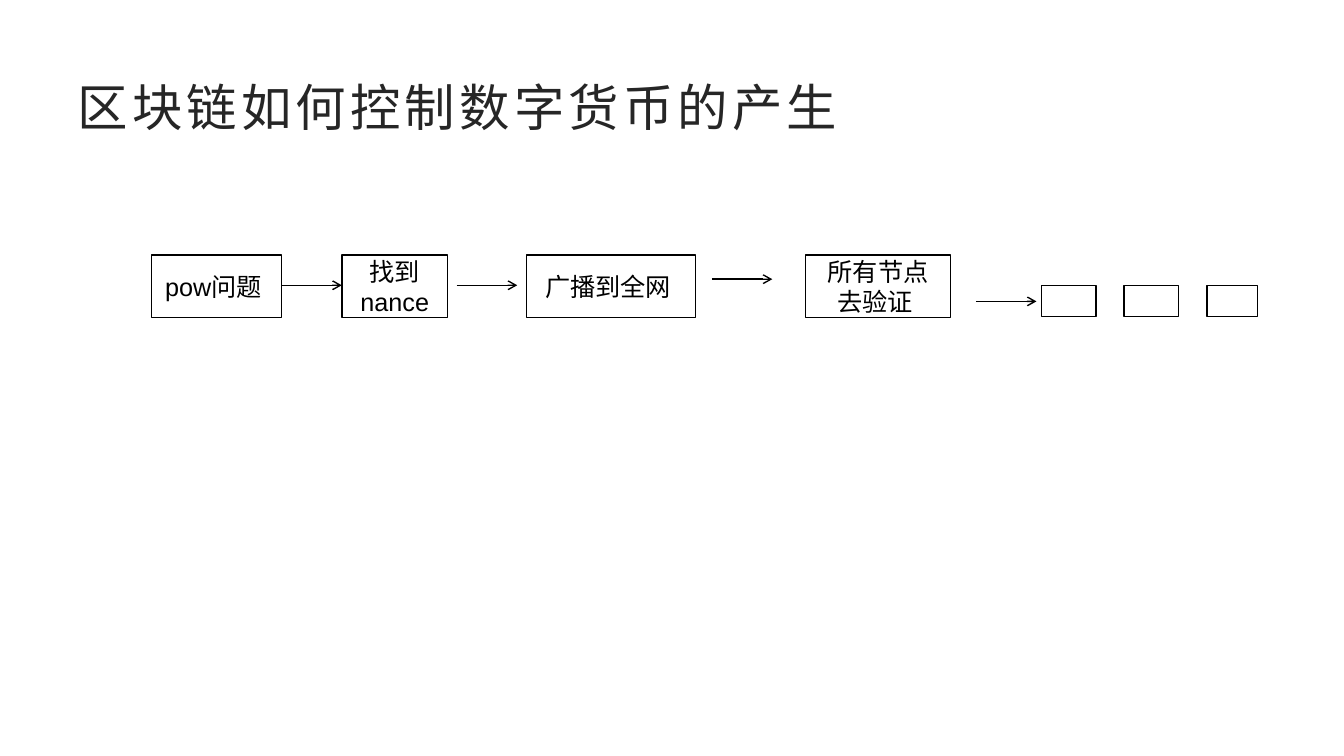
from lxml import etree
from pptx import Presentation
from pptx.dml.color import RGBColor
from pptx.enum.shapes import MSO_CONNECTOR, MSO_SHAPE
from pptx.enum.text import MSO_ANCHOR, PP_ALIGN
from pptx.oxml.ns import qn
from pptx.util import Emu, Pt

FONT = "Arial"
BLACK = "000000"
BOX_TOP, BOX_HEIGHT = 253, 62
BLOCK_TOP, BLOCK_HEIGHT = 283, 31
ARROW_LENGTH = 60

# Process steps: left, width, text
STEPS = [
    (150, 129, "pow问题 "),
    (339, 105, "找到nance"),
    (522, 168, "广播到全网 "),
    (799, 144, "所有节点去验证 "),
]
# Chain of empty blocks: left, width
BLOCKS = [(1033, 54), (1115, 54), (1197, 50)]
# Arrows: left, height on the slide
ARROWS = [(279, 283), (453, 283), (706, 277), (968, 299)]


def px(n):
    """100 px to the inch."""
    return Emu(n * 9144)


def color(hex_string):
    return RGBColor.from_string(hex_string)


def add_run(p, text, size, hex_string):
    r = p.add_run()
    r.text = text
    r.font.name = FONT
    r.font.size = Pt(size)
    r.font.color.rgb = color(hex_string)
    return r


def set_title(s, text):
    sp = s.shapes.title
    sp.left, sp.top, sp.width, sp.height = px(67), px(67), px(1200), px(77)
    tf = sp.text_frame
    tf.vertical_anchor = MSO_ANCHOR.MIDDLE
    p = tf.paragraphs[0]
    p.alignment = PP_ALIGN.LEFT
    r = add_run(p, text, 36, "262626")
    r.font._element.set("spc", "300")  # letter spacing of 3 pt


def add_box(s, left, top, width, height, text=""):
    sp = s.shapes.add_shape(MSO_SHAPE.RECTANGLE, px(left), px(top), px(width), px(height))
    sp.shadow.inherit = False
    sp.fill.background()
    sp.line.color.rgb = color(BLACK)
    sp.line.width = Pt(1)
    if text:
        tf = sp.text_frame
        tf.word_wrap = True
        tf.vertical_anchor = MSO_ANCHOR.MIDDLE
        p = tf.paragraphs[0]
        p.alignment = PP_ALIGN.CENTER
        add_run(p, text, 18, BLACK)


def add_arrow(s, left, y):
    line = s.shapes.add_connector(
        MSO_CONNECTOR.STRAIGHT, px(left), px(y), px(left + ARROW_LENGTH), px(y))
    line.line.color.rgb = color(BLACK)
    line.line.width = Pt(1)
    # Open arrowhead, no shadow
    etree.SubElement(line.line._get_or_add_ln(), qn("a:tailEnd"), type="arrow")
    etree.SubElement(line._element.spPr, qn("a:effectLst"))


def main():
    prs = Presentation()
    prs.slide_width, prs.slide_height = px(1333), px(750)
    s = prs.slides.add_slide(prs.slide_layouts[5])

    set_title(s, "区块链如何控制数字货币的产生")

    # Process steps, then the chain of blocks
    for left, width, text in STEPS:
        add_box(s, left, BOX_TOP, width, BOX_HEIGHT, text)
    for left, width in BLOCKS:
        add_box(s, left, BLOCK_TOP, width, BLOCK_HEIGHT)

    for left, y in ARROWS:
        add_arrow(s, left, y)

    prs.save("out.pptx")


if __name__ == "__main__":
    main()
